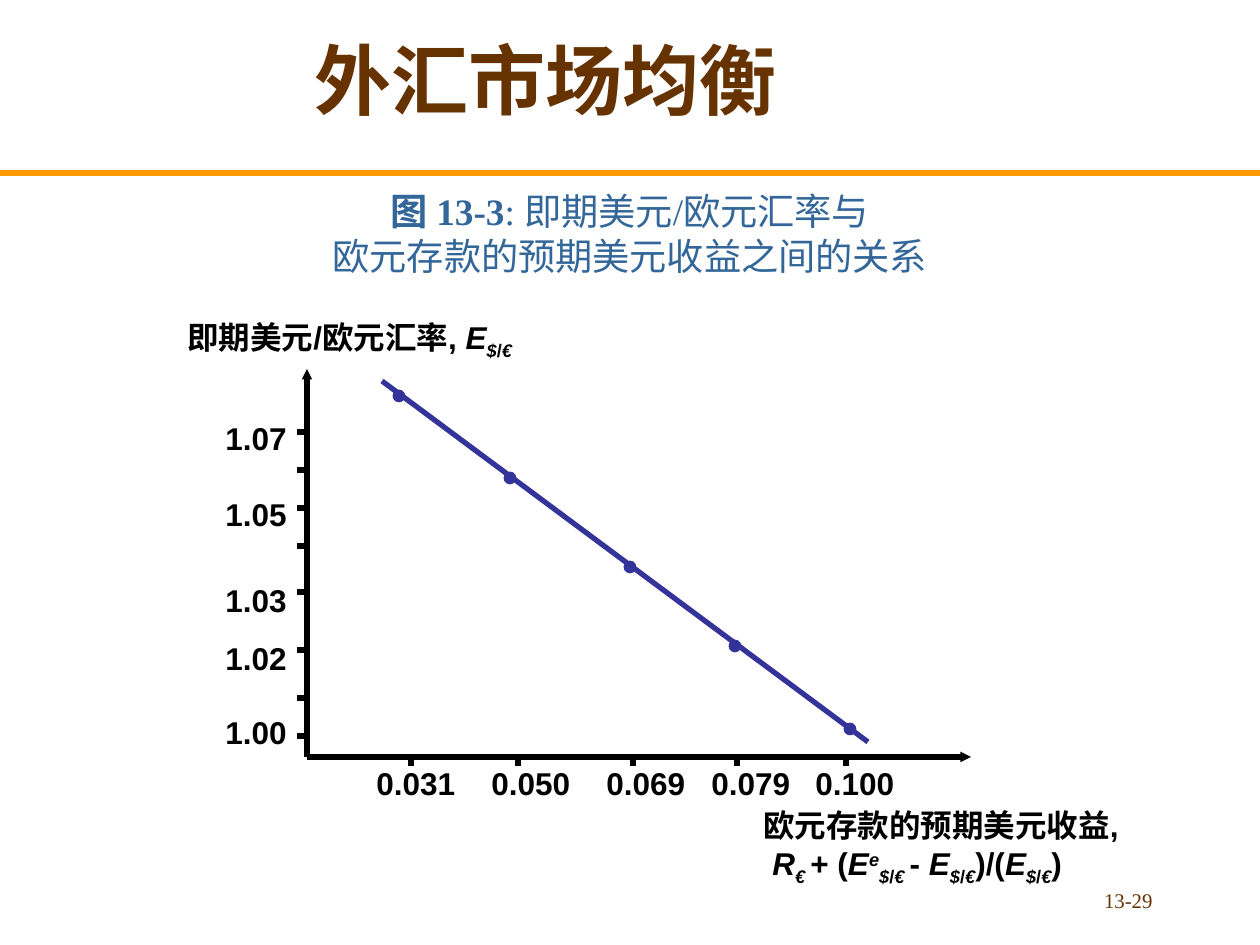
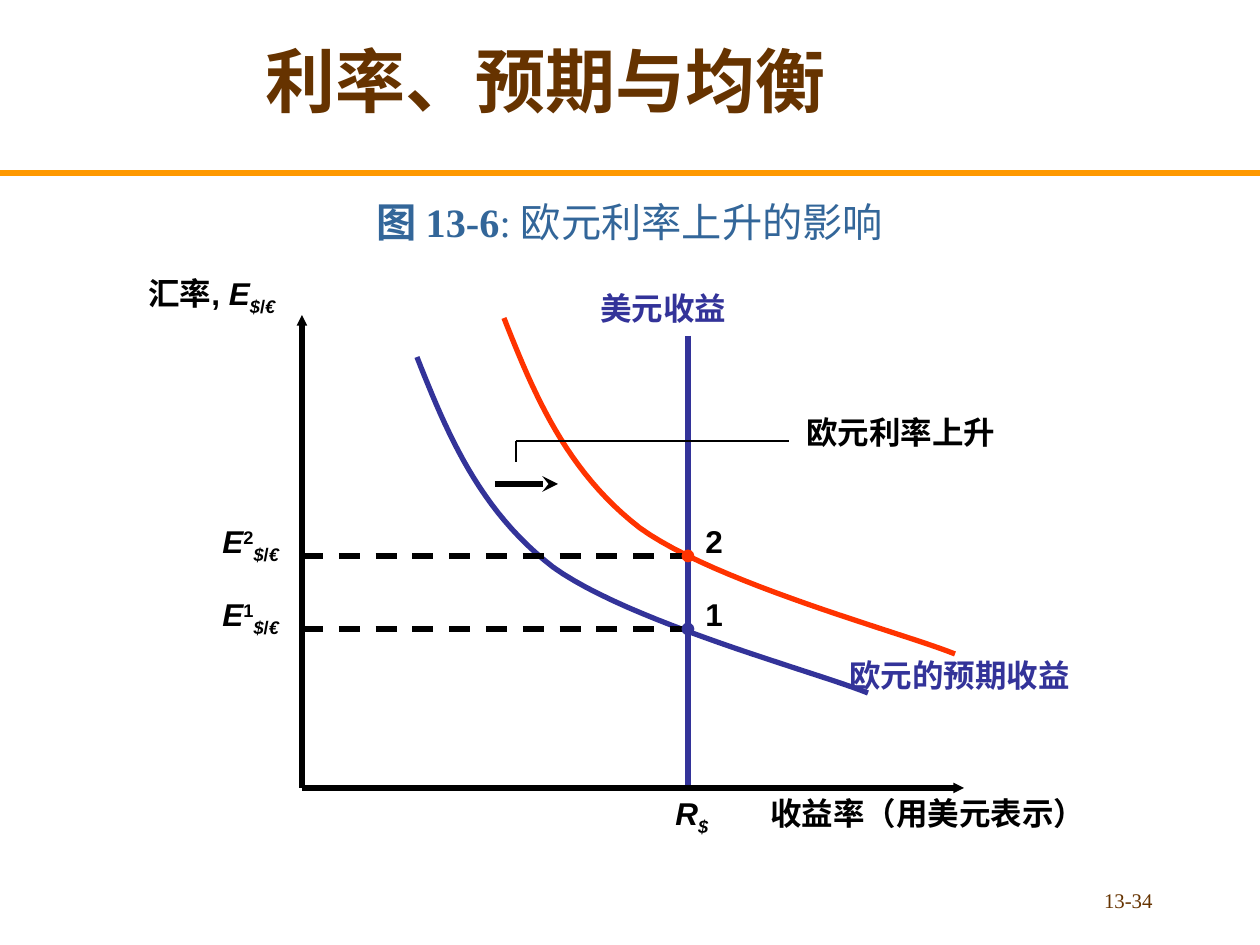
from collections import namedtuple

from lxml import etree
from pptx import Presentation
from pptx.dml.color import RGBColor
from pptx.enum.dml import MSO_LINE
from pptx.enum.shapes import MSO_CONNECTOR, MSO_SHAPE
from pptx.enum.text import MSO_ANCHOR, MSO_AUTO_SIZE, PP_ALIGN
from pptx.oxml.ns import qn
from pptx.util import Emu, Pt

PX_PER_INCH = 126
PAGE_WIDTH, PAGE_HEIGHT = 1260, 945
BROWN, ORANGE, STEEL = "663300", "FF9900", "336699"
BLACK, INDIGO, RED = "000000", "333399", "FF3300"
SERIF, SANS = "Times New Roman", "Arial"
DOT = 11

Box = namedtuple("Box", "left top width height")

# Spans are (text, style): b bold, i italic, _ subscript, ^ superscript
PAIR = [("$", "bi_"), ("/", "b_"), ("€", "bi_")]
RATE = [("E", "bi"), *PAIR]
FORMULA = [
    ("R", "bi"), ("€ ", "bi_"), ("+ (", "b"),
    ("E", "bi"), ("e", "bi^"), ("$", "bi_"), ("/", "b_"), ("€ ", "bi_"),
    ("- ", "b"), *RATE, (")/(", "b"), *RATE, (")", "b"),
]


def px(length):
    return Emu(round(length * 914400 / PX_PER_INCH))


def colour(hex_text):
    return RGBColor.from_string(hex_text)


# ---- Text ----
def write_text(frame, lines, size=18, font=SANS, ink=BLACK,
               align=PP_ALIGN.LEFT, anchor=MSO_ANCHOR.TOP, indents=()):
    """Fill a frame; each line is a plain bold text or a list of spans."""
    frame.word_wrap = True
    frame.auto_size = MSO_AUTO_SIZE.NONE
    frame.vertical_anchor = anchor
    for index, line in enumerate(lines):
        para = frame.paragraphs[0] if index == 0 else frame.add_paragraph()
        para.alignment = align
        if index < len(indents):
            properties = para._p.get_or_add_pPr()
            properties.set("marL", str(px(indents[index])))
            properties.set("indent", "0")
        for text, style in [(line, "b")] if isinstance(line, str) else line:
            span = para.add_run()
            span.text = text
            span.font.name, span.font.size = font, Pt(size)
            span.font.color.rgb = colour(ink)
            span.font.bold, span.font.italic = "b" in style, "i" in style
            if "_" in style:
                span.font._rPr.set("baseline", "-25000")
            elif "^" in style:
                span.font._rPr.set("baseline", "30000")


def add_text(page, box, lines, **format_options):
    holder = page.shapes.add_textbox(*map(px, box))
    write_text(holder.text_frame, lines, **format_options)


# ---- Lines and marks ----
def add_line(page, start, end, ink=BLACK, weight=3, dashed=False,
             arrow=None, arrow_size="sm"):
    line = page.shapes.add_connector(
        MSO_CONNECTOR.STRAIGHT, *map(px, (*start, *end)))
    line.line.color.rgb = colour(ink)
    line.line.width = Pt(weight)
    if dashed:
        line.line.dash_style = MSO_LINE.DASH
    if arrow:
        tip = etree.SubElement(line.line._get_or_add_ln(), qn("a:tailEnd"))
        for name, value in (("type", arrow), ("w", arrow_size),
                            ("len", arrow_size)):
            tip.set(name, value)
    etree.SubElement(line._element.spPr, qn("a:effectLst"))


def add_dot(page, centre, ink):
    x, y = centre
    dot = page.shapes.add_shape(
        MSO_SHAPE.OVAL, px(x - DOT / 2), px(y - DOT / 2), px(DOT), px(DOT))
    dot.shadow.inherit = False
    dot.fill.solid()
    dot.fill.fore_color.rgb = colour(ink)
    dot.line.color.rgb = colour(ink)
    dot.line.width = Pt(1)


def bezier_points(knots, steps=24):
    """Points along joined cubic curves: a start, then three knots each."""
    points = [knots[0]]
    for first in range(0, len(knots) - 1, 3):
        a, b, c, d = knots[first:first + 4]
        for step in range(1, steps + 1):
            t = step / steps
            u = 1 - t
            points.append(tuple(
                u**3 * a[k] + 3 * u * u * t * b[k]
                + 3 * u * t * t * c[k] + t**3 * d[k] for k in (0, 1)))
    return points


def add_curve(page, knots, ink):
    points = [(px(x), px(y)) for x, y in bezier_points(knots)]
    builder = page.shapes.build_freeform(*points[0], scale=1.0)
    builder.add_line_segments(points[1:], close=False)
    curve = builder.convert_to_shape()
    curve.shadow.inherit = False
    curve.fill.background()
    curve.line.color.rgb = colour(ink)
    curve.line.width = Pt(3)


# ---- Shared page parts ----
def add_page(deck, title, title_size, number):
    page = deck.slides.add_slide(deck.slide_layouts[5])
    heading = page.shapes.title
    heading.left, heading.top, heading.width, heading.height = map(
        px, (10, 0, 1071, 158))
    write_text(heading.text_frame, [title], size=title_size, font=SERIF,
               ink=BROWN, align=PP_ALIGN.CENTER, anchor=MSO_ANCHOR.MIDDLE)
    add_line(page, (0, 173), (PAGE_WIDTH, 173), ink=ORANGE)
    add_text(page, Box(903, 881, 262, 42), [[(number, "")]], size=11.9,
             font=SERIF, ink=BROWN, align=PP_ALIGN.RIGHT)
    return page


def add_caption(page, box, lines, size):
    add_text(page, box, lines, size=size, font=SERIF, ink=STEEL,
             align=PP_ALIGN.CENTER, anchor=MSO_ANCHOR.BOTTOM)


def add_axes(page, plot):
    origin = (plot.left, plot.top + plot.height)
    add_line(page, origin, (plot.left, plot.top), arrow="triangle")
    add_line(page, origin, (plot.left + plot.width, origin[1]),
             arrow="triangle")


def placer(plot):
    """Turn offsets from the plot's corner into page positions."""
    return lambda x, y: (plot.left + x, plot.top + y)


# ---- Rate against expected return, with a scale on both axes ----
def draw_rate_line(page, plot):
    at = placer(plot)
    base = plot.height
    add_line(page, at(75, 12), at(561, 373), ink=INDIGO)
    for centre in ((92, 27), (203, 109), (323, 198), (428, 277), (543, 360)):
        add_dot(page, at(*centre), INDIGO)
    add_axes(page, plot)

    # Horizontal scale: label, tick position, label left
    for label, tick, left in (("0.031", 104, 57), ("0.050", 211, 172),
                              ("0.069", 326, 287), ("0.079", 430, 392),
                              ("0.100", 539, 496)):
        add_line(page, at(tick, base), at(tick, base + 9))
        add_text(page, Box(*at(left, base + 1), 120, 50), [label])

    # Vertical scale
    for tick in (63, 101, 139, 177, 223, 281, 329, 367):
        add_line(page, at(-10, tick), at(0, tick))
    for label, top in (("1.07", 44), ("1.05", 120), ("1.03", 206),
                       ("1.02", 264), ("1.00", 338)):
        add_text(page, Box(*at(-94, top), 100, 50), [label])

    # Axis names
    add_text(page, Box(*at(-132, -57), 420, 55),
             [[("即期美元/欧元汇率, ", "b"), *RATE]])
    add_text(page, Box(*at(444, base + 43), 478, 100),
             ["欧元存款的预期美元收益,", FORMULA], indents=(0, 9))


# ---- Shift of the expected return curve ----
def draw_curve_shift(page, plot):
    at = placer(plot)
    base, return_x = plot.height, 386

    # Dollar return
    add_line(page, at(return_x, 21), at(return_x, base), ink=INDIGO)
    add_text(page, Box(*at(286, -32), 180, 50), ["美元收益"], ink=INDIGO)
    add_text(page, Box(*at(361, base), 95, 55),
             [[("R", "bi"), ("$", "bi_")]])

    # Axes and their names
    add_axes(page, plot)
    add_text(page, Box(*at(456, base), 370, 50), ["收益率（用美元表示）"],
             font=SERIF)
    add_text(page, Box(*at(-166, -47), 325, 55), [[("汇率, ", "b"), *RATE]])

    # The curve after the rise, and the same one before it
    knots = ((202, 3), (232, 79), (264, 156), (338, 213),
             (414, 268), (601, 318), (653, 339))
    for ink, shift_x, shift_y in ((RED, 0, 0), (INDIGO, -87, 39)):
        add_curve(page, [at(x + shift_x, y + shift_y) for x, y in knots], ink)
    add_text(page, Box(*at(535, 335), 270, 50), ["欧元的预期收益"],
             ink=INDIGO)

    # Equilibrium points
    for number, y, ink in (("1", 314, INDIGO), ("2", 241, RED)):
        add_line(page, at(0, y), at(return_x, y), dashed=True)
        add_dot(page, at(return_x, y), ink)
        add_text(page, Box(*at(391, y - 40), 50, 50), [number])
        add_text(page, Box(*at(-92, y - 40), 149, 55),
                 [[("E", "bi"), (number, "b^"), *PAIR]])

    # Callout for the rise
    add_line(page, at(214, 147), at(214, 126), weight=1)
    add_line(page, at(214, 126), at(487, 126), weight=1)
    add_line(page, at(193, 169), at(256, 169), arrow="stealth",
             arrow_size="med")
    add_text(page, Box(*at(492, 92), 240, 50), ["欧元利率上升"])


def main():
    deck = Presentation()
    deck.slide_width, deck.slide_height = px(PAGE_WIDTH), px(PAGE_HEIGHT)

    page = add_page(deck, "外汇市场均衡", 44, "13-29")
    add_caption(page, Box(0, 179, PAGE_WIDTH, 105),
                [[("图 13-3", "b"), (": 即期美元/欧元汇率与", "")],
                 [("欧元存款的预期美元收益之间的关系", "")]], 21.3)
    draw_rate_line(page, Box(307, 369, 664, 388))

    page = add_page(deck, "利率、预期与均衡", 40, "13-34")
    add_caption(page, Box(0, 189, PAGE_WIDTH, 63),
                [[("图 13-6", "b"), (": 欧元利率上升的影响", "")]], 23)
    draw_curve_shift(page, Box(302, 315, 662, 473))

    deck.save("out.pptx")


if __name__ == "__main__":
    main()
